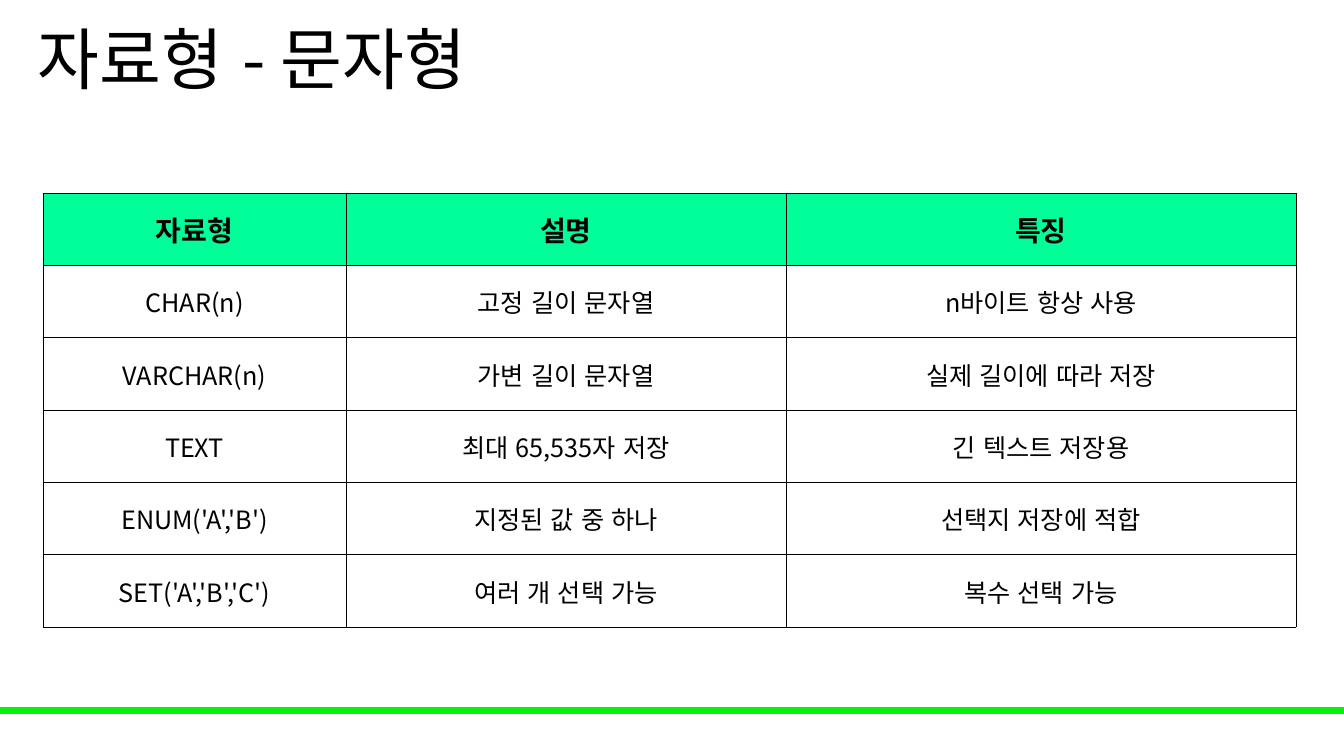
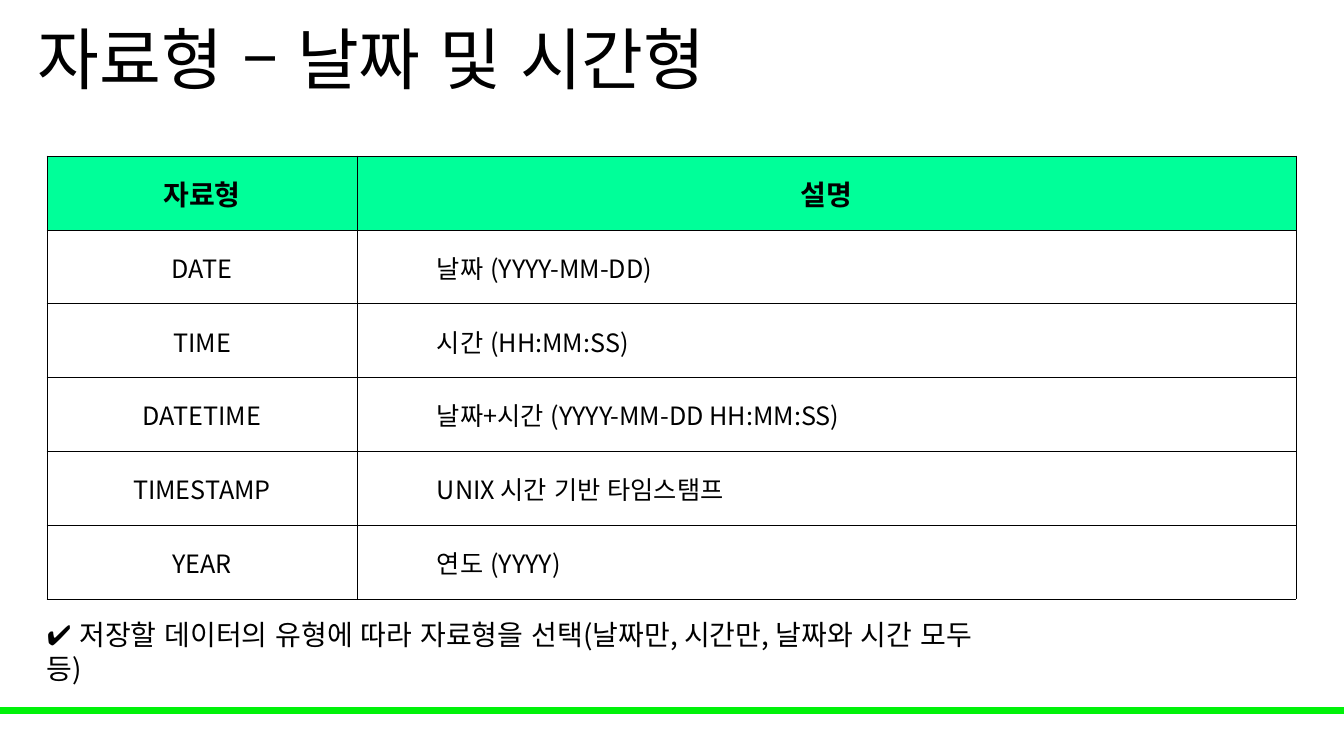
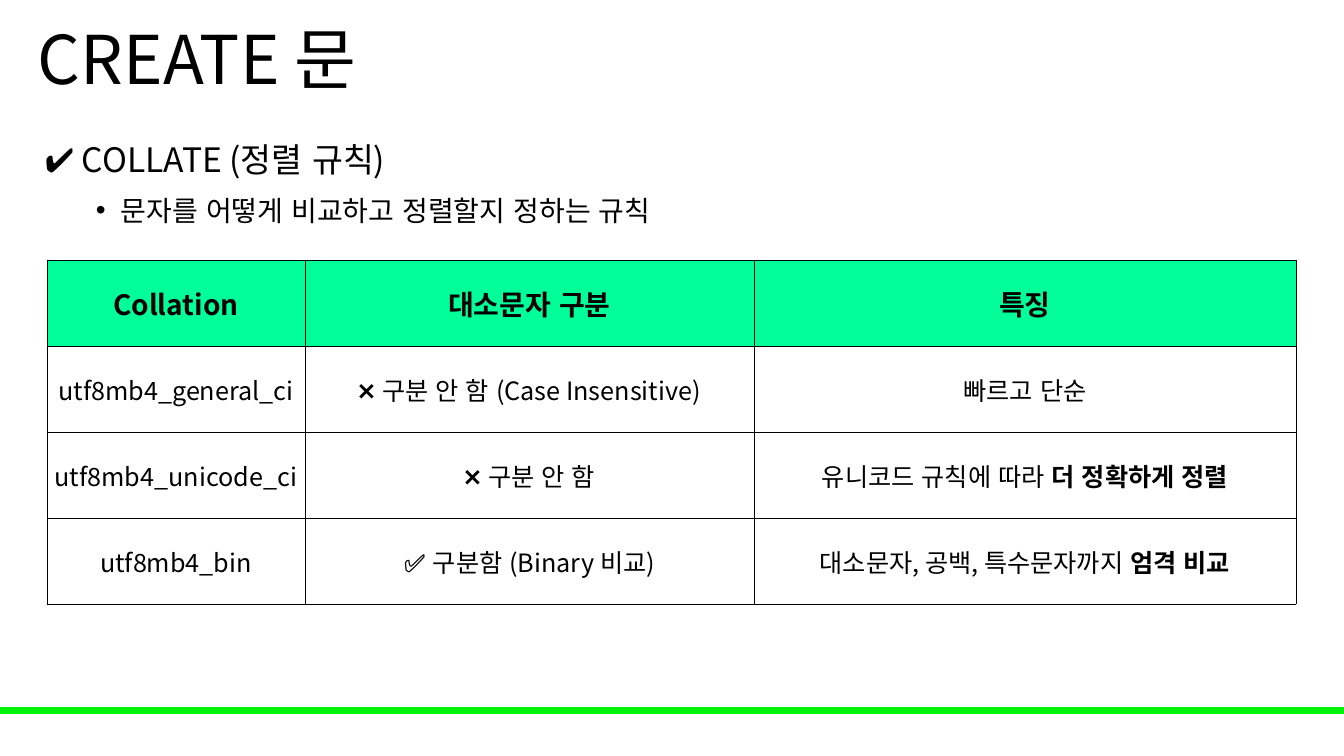
from lxml import etree
from pptx import Presentation
from pptx.dml.color import RGBColor
from pptx.enum.lang import MSO_LANGUAGE_ID as Language
from pptx.enum.shapes import MSO_SHAPE as Shape
from pptx.enum.text import MSO_ANCHOR as Anchor, MSO_AUTO_SIZE as AutoSize, PP_ALIGN as Align
from pptx.oxml.ns import qn
from pptx.util import Emu, Pt

SLIDE_WIDTH, SLIDE_HEIGHT = 1344, 756
EMU_PER_PX = 12192000 / SLIDE_WIDTH

FONT = "Noto Sans CJK KR"
BLACK = RGBColor(0x00, 0x00, 0x00)
BAND_GREEN = RGBColor(0x00, 0xF2, 0x09)
HEADER_GREEN = RGBColor(0x00, 0xFF, 0x99)

TITLE_SIZE, HEADING_SIZE, TEXT_SIZE, CELL_SIZE = 48, 24, 20, 18
BORDER_WIDTH = Pt(0.5)

CHARACTER_TYPES = [
    ("자료형", "설명", "특징"),
    ("CHAR(n)", "고정 길이 문자열", "n바이트 항상 사용"),
    ("VARCHAR(n)", "가변 길이 문자열", "실제 길이에 따라 저장"),
    ("TEXT", "최대 65,535자 저장", "긴 텍스트 저장용"),
    ("ENUM('A','B')", "지정된 값 중 하나", "선택지 저장에 적합"),
    ("SET('A','B','C')", "여러 개 선택 가능", "복수 선택 가능"),
]
DATE_TYPES = [
    ("자료형", "설명"),
    ("DATE", "날짜 (YYYY-MM-DD)"),
    ("TIME", "시간 (HH:MM:SS)"),
    ("DATETIME", "날짜+시간 (YYYY-MM-DD HH:MM:SS)"),
    ("TIMESTAMP", "UNIX 시간 기반 타임스탬프"),
    ("YEAR", "연도 (YYYY)"),
]
# A pair in a cell is plain text followed by bold text.
COLLATIONS = [
    ("Collation", "대소문자 구분", "특징"),
    ("utf8mb4_general_ci", "❌ 구분 안 함 (Case Insensitive)", "빠르고 단순"),
    ("utf8mb4_unicode_ci", "❌ 구분 안 함", ("유니코드 규칙에 따라 ", "더 정확하게 정렬")),
    ("utf8mb4_bin", "✅ 구분함 (Binary 비교)", ("대소문자, 공백, 특수문자까지 ", "엄격 비교")),
]


def px(length):
    return Emu(round(length * EMU_PER_PX))


def format_run(run, size, bold=False):
    font = run.font
    font.name, font.size, font.bold = FONT, Pt(size), bold
    font.color.rgb = BLACK
    font.language_id = Language.KOREAN
    latin = run._r.rPr.find(qn("a:latin"))
    east_asian = etree.Element(qn("a:ea"), typeface=FONT)
    latin.addnext(east_asian)


def write(paragraph, text, size, bold=False):
    plain, emphasis = (text, None) if isinstance(text, str) else text
    paragraph.text = plain
    format_run(paragraph.runs[0], size, bold)
    if emphasis:
        run = paragraph.add_run()
        run.text = emphasis
        format_run(run, size, True)


def add_text_box(slide, box):
    text_frame = slide.shapes.add_textbox(*map(px, box)).text_frame
    text_frame.word_wrap = True
    return text_frame


def add_bullet(paragraph, indent, hanging):
    properties = paragraph._p.get_or_add_pPr()
    properties.set("marL", str(px(indent)))
    properties.set("indent", str(-px(hanging)))
    etree.SubElement(properties, qn("a:buFont"), typeface="Arial")
    etree.SubElement(properties, qn("a:buChar"), char="•")


def add_titled_slide(presentation, title):
    """Add a slide with the shared title and bottom band."""
    slide = presentation.slides.add_slide(presentation.slide_layouts[6])
    band = slide.shapes.add_shape(Shape.RECTANGLE, 0, px(708), px(SLIDE_WIDTH), px(5))
    band.shadow.inherit = False
    band.fill.solid()
    band.fill.fore_color.rgb = BAND_GREEN
    band.line.color.rgb = BAND_GREEN
    band.line.width = Pt(1)

    text_frame = add_text_box(slide, (28, 0, 1159, 126))
    text_frame.vertical_anchor = Anchor.MIDDLE
    paragraph = text_frame.paragraphs[0]
    write(paragraph, title, TITLE_SIZE)
    paragraph.line_spacing = 0.9
    return slide


def add_borders(cell):
    properties = cell._tc.get_or_add_tcPr()
    for side in ("lnL", "lnR", "lnT", "lnB"):
        line = etree.SubElement(properties, qn(f"a:{side}"), w=str(BORDER_WIDTH))
        fill = etree.SubElement(line, qn("a:solidFill"))
        etree.SubElement(fill, qn("a:srgbClr"), val=str(BLACK))


def format_cell(cell, text, is_header, left_indent=None):
    cell.vertical_anchor = Anchor.MIDDLE
    cell.margin_left = px(left_indent or 1)
    cell.margin_right = cell.margin_top = px(1)
    cell.margin_bottom = 0
    add_borders(cell)
    if is_header:
        cell.fill.solid()
        cell.fill.fore_color.rgb = HEADER_GREEN
    else:
        cell.fill.background()
    paragraph = cell.text_frame.paragraphs[0]
    write(paragraph, text, TEXT_SIZE if is_header else CELL_SIZE, is_header)
    paragraph.alignment = Align.LEFT if left_indent else Align.CENTER


def add_data_table(slide, left, top, height, column_widths, rows, left_indents=None):
    """Add a table; left_indents maps a column to the indent of its left-aligned body."""
    left_indents = left_indents or {}
    box = (left, top, sum(column_widths), height)
    table = slide.shapes.add_table(len(rows), len(column_widths), *map(px, box)).table
    table.horz_banding = False
    for column, width in zip(table.columns, column_widths):
        column.width = px(width)
    for row_index, row in enumerate(rows):
        table.rows[row_index].height = px(height / len(rows))
        is_header = row_index == 0
        for column_index, text in enumerate(row):
            indent = None if is_header else left_indents.get(column_index)
            format_cell(table.cell(row_index, column_index), text, is_header, indent)


def add_note(slide, box, text):
    text_frame = add_text_box(slide, box)
    text_frame.auto_size = AutoSize.SHAPE_TO_FIT_TEXT
    write(text_frame.paragraphs[0], text, TEXT_SIZE)


def add_topic(slide, box, heading, detail):
    text_frame = add_text_box(slide, box)
    heading_paragraph = text_frame.paragraphs[0]
    write(heading_paragraph, heading, HEADING_SIZE)
    heading_paragraph.line_spacing = 1.2

    detail_paragraph = text_frame.add_paragraph()
    detail_paragraph.level = 1
    detail_paragraph.line_spacing = 1.2
    detail_paragraph.space_before = Pt(5)
    add_bullet(detail_paragraph, indent=76, hanging=25)
    write(detail_paragraph, detail, TEXT_SIZE)


def main():
    presentation = Presentation()
    presentation.slide_width, presentation.slide_height = px(SLIDE_WIDTH), px(SLIDE_HEIGHT)

    slide = add_titled_slide(presentation, "자료형 - 문자형")
    add_data_table(slide, 43, 193, 434, (303, 440, 510), CHARACTER_TYPES)

    slide = add_titled_slide(presentation, "자료형 – 날짜 및 시간형")
    add_data_table(slide, 47, 156, 443, (310, 939), DATE_TYPES, left_indents={1: 80})
    add_note(slide, (37, 613, 951, 44),
             "✔️ 저장할 데이터의 유형에 따라 자료형을 선택(날짜만, 시간만, 날짜와 시간 모두 등)")

    slide = add_titled_slide(presentation, "CREATE 문")
    add_topic(slide, (35, 126, 1290, 111),
              "✔️ COLLATE (정렬 규칙)", "문자를 어떻게 비교하고 정렬할지 정하는 규칙")
    add_data_table(slide, 47, 260, 344, (258, 449, 542), COLLATIONS)

    presentation.save("out.pptx")


if __name__ == "__main__":
    main()
